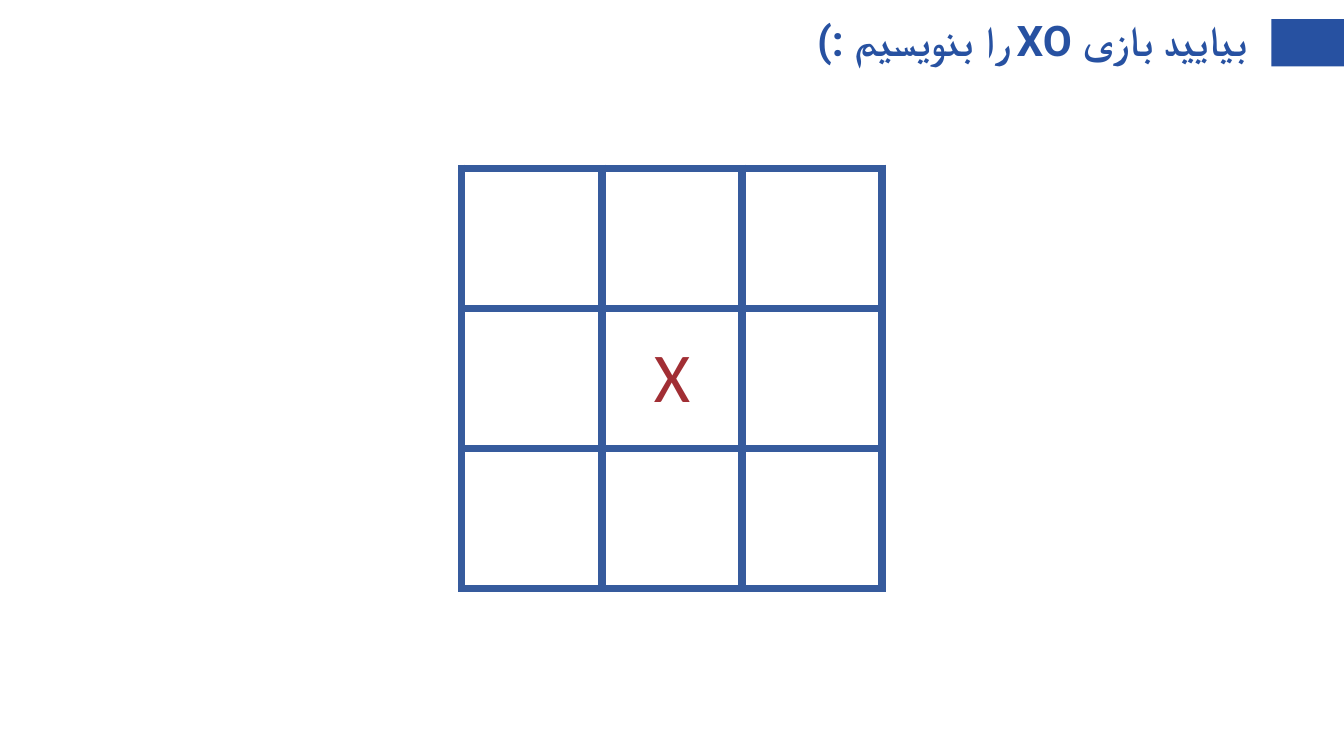
import pptx
import pptx.dml.color
import pptx.enum.shapes
import pptx.enum.text
import pptx.oxml.ns
import pptx.util
from lxml import etree
from pptx.util import Inches

TITLE_BLUE = "2751A1"
GRID_BLUE = "365B9D"
MARK_RED = "A12E34"
WHITE = "FFFFFF"
GRID_SIZE = 3
CELL_SIDE = 1.39
MARKS = {(1, 1): "X"}


def color(hex_code):
    return pptx.dml.color.RGBColor.from_string(hex_code)


def set_margins(target, margin):
    target.margin_left = target.margin_right = margin
    target.margin_top = target.margin_bottom = margin


def format_run(run, font_name, size, hex_code, bold=False):
    run.font.name = font_name
    run.font.size = pptx.util.Pt(size)
    run.font.bold = bold
    run.font.color.rgb = color(hex_code)


def add_accent_bar(slide):
    shape = slide.shapes.add_shape(
        pptx.enum.shapes.MSO_SHAPE.RECTANGLE,
        Inches(12.61), Inches(0.19), Inches(0.73), Inches(0.47))
    shape.shadow.inherit = False
    shape.fill.solid()
    shape.fill.fore_color.rgb = color(TITLE_BLUE)
    shape.line.fill.background()


def add_title(slide, text):
    shape = slide.shapes.add_textbox(
        Inches(0.92), Inches(0.05), Inches(11.5), Inches(0.75))
    text_frame = shape.text_frame
    text_frame.word_wrap = True
    text_frame.vertical_anchor = pptx.enum.text.MSO_ANCHOR.MIDDLE
    set_margins(text_frame, Inches(0.05))
    text_frame.text = text
    paragraph = text_frame.paragraphs[0]
    paragraph.alignment = pptx.enum.text.PP_ALIGN.RIGHT
    paragraph.line_spacing = 0.9
    paragraph.space_before = pptx.util.Pt(9)
    paragraph._p.get_or_add_pPr().set("rtl", "1")
    run = paragraph.runs[0]
    format_run(run, "Roboto", 30.1, TITLE_BLUE, bold=True)
    complex_font = etree.SubElement(run.font._element, pptx.oxml.ns.qn("a:cs"))
    complex_font.set("typeface", "Roboto")


def set_borders(cell, hex_code, width):
    properties = cell._tc.get_or_add_tcPr()
    for side in ("L", "R", "T", "B"):
        line = etree.SubElement(properties, pptx.oxml.ns.qn(f"a:ln{side}"))
        line.set("w", str(pptx.util.Pt(width)))
        fill = etree.SubElement(line, pptx.oxml.ns.qn("a:solidFill"))
        etree.SubElement(fill, pptx.oxml.ns.qn("a:srgbClr")).set("val", hex_code)


def write_mark(cell, mark):
    cell.vertical_anchor = pptx.enum.text.MSO_ANCHOR.MIDDLE
    set_margins(cell, 0)
    cell.text_frame.text = mark
    paragraph = cell.text_frame.paragraphs[0]
    paragraph.alignment = pptx.enum.text.PP_ALIGN.CENTER
    format_run(paragraph.runs[0], "Calibri", 50, MARK_RED)


def add_game_board(slide):
    side = Inches(CELL_SIDE * GRID_SIZE)
    table = slide.shapes.add_table(
        GRID_SIZE, GRID_SIZE, Inches(4.58), Inches(1.67), side, side).table
    table.first_row = False
    table.horz_banding = False
    for row in range(GRID_SIZE):
        for column in range(GRID_SIZE):
            cell = table.cell(row, column)
            set_borders(cell, GRID_BLUE, 6)
            cell.fill.solid()
            cell.fill.fore_color.rgb = color(WHITE)
            if (row, column) in MARKS:
                write_mark(cell, MARKS[row, column])


def main():
    presentation = pptx.Presentation()
    presentation.slide_width = Inches(13.33)
    presentation.slide_height = Inches(7.5)
    slide = presentation.slides.add_slide(presentation.slide_layouts[6])
    add_accent_bar(slide)
    add_title(slide, "بیایید بازی XO را بنویسیم :)")
    add_game_board(slide)
    presentation.save("out.pptx")


if __name__ == "__main__":
    main()
